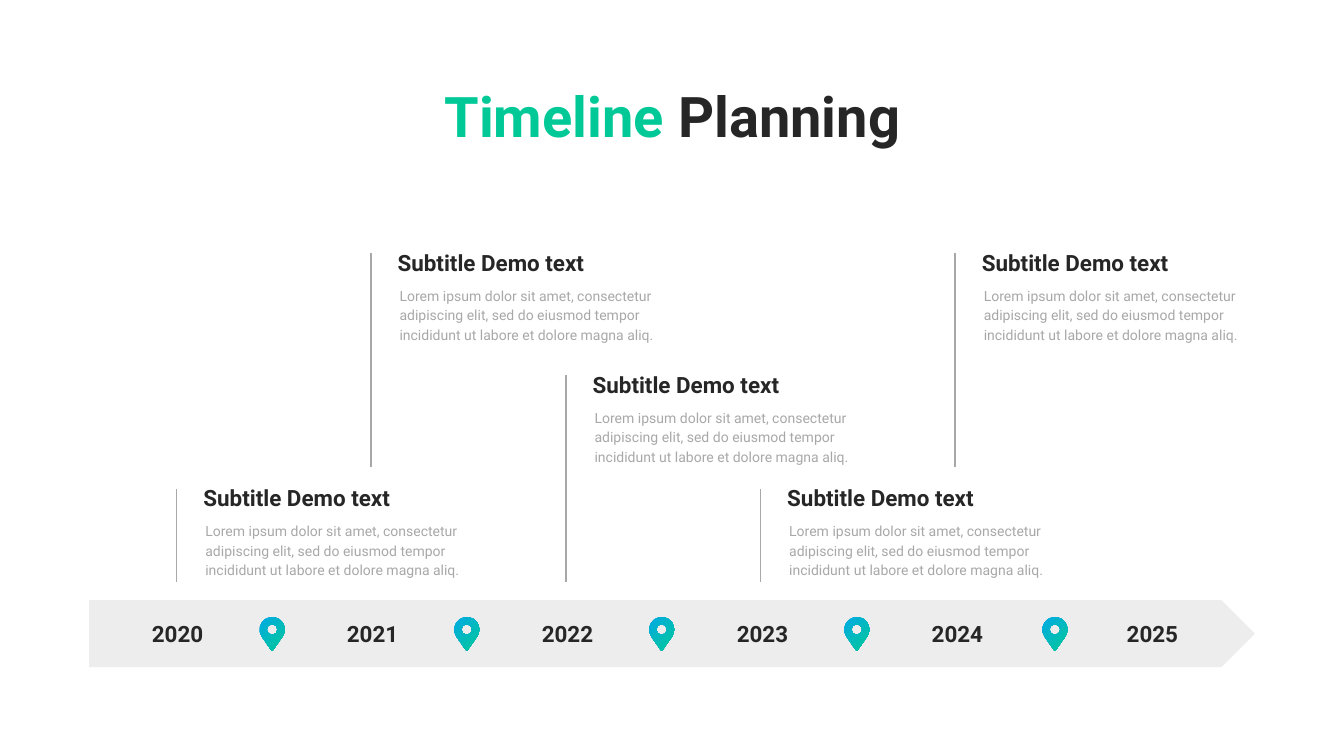
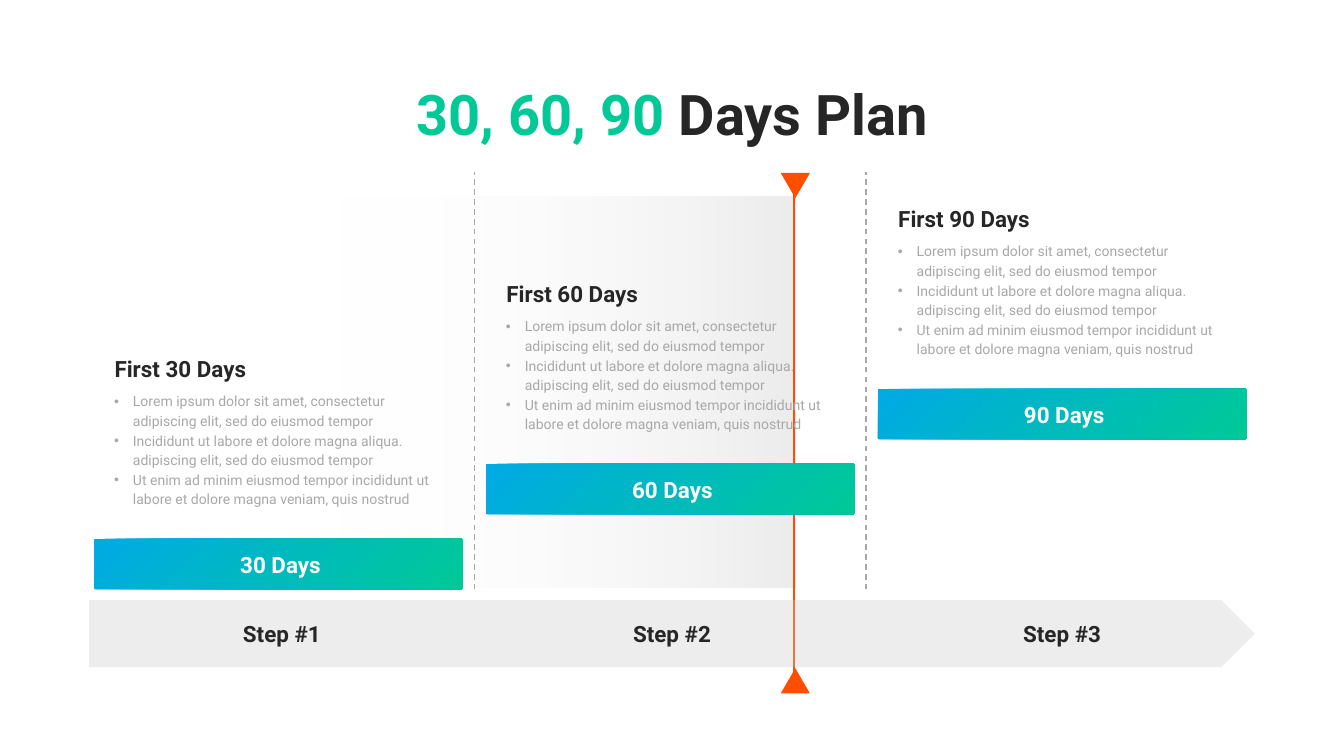
from lxml import etree
from pptx import Presentation
from pptx.dml.color import RGBColor
from pptx.enum.dml import MSO_LINE
from pptx.enum.shapes import MSO_CONNECTOR, MSO_SHAPE
from pptx.enum.text import MSO_ANCHOR, MSO_AUTO_SIZE, PP_ALIGN
from pptx.oxml.ns import qn
from pptx.util import Pt

LEFT, CENTER = PP_ALIGN.LEFT, PP_ALIGN.CENTER
TOP, MIDDLE = MSO_ANCHOR.TOP, MSO_ANCHOR.MIDDLE
DASH = MSO_LINE.DASH
STRAIGHT = MSO_CONNECTOR.STRAIGHT
RECT, ROUNDED = MSO_SHAPE.RECTANGLE, MSO_SHAPE.ROUNDED_RECTANGLE
TRIANGLE, PENTAGON = MSO_SHAPE.ISOSCELES_TRIANGLE, MSO_SHAPE.PENTAGON

FONT = "Roboto"
COLORS = {
    "ink": "252625",
    "text": "A7A8A7",
    "band": "C7C8C7",
    "blue": "00AAE5",
    "green": "00C997",
    "marker": "FE4F00",
    "white": "FEFFFE",
}

TIMELINE_TITLE = ("Timeline", " Planning")
YEARS = ["2020", "2021", "2022", "2023", "2024", "2025"]
PIN_LEFTS = [370.8, 648.8, 927.2, 1206, 1489]
PIN_WIDTH, PIN_HEIGHT = 36, 48
PIN_OUTLINE = [
    ("moveTo", [(180, 480)]),
    ("cubicBezTo", [(174, 480), (168, 477), (165, 472)]),
    ("lnTo", [(33, 283)]),
    ("cubicBezTo", [(-24, 202), (-4, 90), (77, 33)]),
    ("cubicBezTo", [(158, -24), (270, -4), (327, 77)]),
    ("cubicBezTo", [(370, 139), (370, 221), (327, 283)]),
    ("lnTo", [(195, 472)]),
    ("cubicBezTo", [(192, 477), (186, 480), (180, 480)]),
    ("close", []),
    ("moveTo", [(180, 104)]),
    ("cubicBezTo", [(138, 104), (104, 138), (104, 180)]),
    ("cubicBezTo", [(104, 222), (138, 256), (180, 256)]),
    ("cubicBezTo", [(222, 256), (256, 222), (256, 180)]),
    ("cubicBezTo", [(256, 138), (222, 104), (180, 104)]),
    ("close", []),
]
SUBTITLE = "Subtitle Demo text"
SUMMARY = ("Lorem ipsum dolor sit amet, consectetur adipiscing elit, "
           "sed do eiusmod tempor incididunt ut labore et dolore magna aliq.")
MILESTONES = [(252.4, 698.2, 832), (529.8, 361.9, 666.5), (808.4, 536.2, 832),
              (1086.4, 698.2, 832), (1364.4, 361.9, 666.5)]

PLAN_TITLE = ("30, 60, 90 ", "Days Plan")
STEPS = ["Step #1", "Step #2", "Step #3"]
PERIODS = ["30 Days", "60 Days", "90 Days"]
TASKS = [
    "Lorem ipsum dolor sit amet, consectetur adipiscing elit, sed do eiusmod tempor",
    "Incididunt ut labore et dolore magna aliqua. adipiscing elit, sed do eiusmod tempor",
    "Ut enim ad minim eiusmod tempor incididunt ut labore et dolore magna veniam, quis nostrud",
]


def rgb(name):
    return RGBColor.from_string(COLORS[name])


def set_font(paragraph, size, color=None, bold=False):
    font = paragraph.font
    font.name, font.size, font.bold = FONT, Pt(size), bold
    if color:
        font.color.rgb = rgb(color)


def place(shape, left, top, width, height):
    shape.left, shape.top = Pt(left), Pt(top)
    shape.width, shape.height = Pt(width), Pt(height)


def set_frame(frame, anchor, inset_x, inset_y):
    frame.word_wrap = True
    frame.auto_size = MSO_AUTO_SIZE.NONE
    frame.vertical_anchor = anchor
    frame.margin_left = frame.margin_right = Pt(inset_x)
    frame.margin_top = frame.margin_bottom = Pt(inset_y)


def add_title(slide, words, top):
    title = slide.shapes.title
    place(title, 507.6, top, 905.8, 105.1)
    set_frame(title.text_frame, TOP, 4.3, 4.3)
    paragraph = title.text_frame.paragraphs[0]
    paragraph.alignment = CENTER
    set_font(paragraph, 80, bold=True)
    for word, color in zip(words, ("green", "ink")):
        run = paragraph.add_run()
        run.text = word
        run.font.color.rgb = rgb(color)


def add_text(slide, text, box, size=32, color="ink", bold=True, align=LEFT,
             anchor=MIDDLE, insets=(4.3, 4.3), spacing=None):
    frame = slide.shapes.add_textbox(*map(Pt, box)).text_frame
    set_frame(frame, anchor, *insets)
    paragraph = frame.paragraphs[0]
    paragraph.text = text
    paragraph.alignment = align
    if spacing:
        paragraph.line_spacing = Pt(spacing)
    set_font(paragraph, size, color, bold)


def fill_tasks(holder, left, top):
    place(holder, left, top, 473.8, 175)
    set_frame(holder.text_frame, TOP, 7.2, 3.6)
    holder.text_frame.text = "\n".join(TASKS)
    for paragraph in holder.text_frame.paragraphs:
        paragraph.alignment = LEFT
        paragraph.line_spacing = Pt(28)
        paragraph.space_before = Pt(0)
        properties = paragraph._p.get_or_add_pPr()
        properties.set("marL", str(Pt(27)))
        properties.set("indent", str(-Pt(27)))
        etree.SubElement(properties, qn("a:buChar")).set("char", "•")
        set_font(paragraph, 20, "text")
    holder.element.getparent().append(holder.element)


def set_alphas(shape, alphas):
    for color, alpha in zip(shape.element.spPr.iter(qn("a:srgbClr")), alphas):
        etree.SubElement(color, qn("a:alpha")).set("val", str(alpha * 1000))


def finish(shape, colors, angle=45):
    shape.shadow.inherit = False
    if len(colors) == 1:
        shape.fill.solid()
        shape.fill.fore_color.rgb = rgb(colors[0])
    else:
        shape.fill.gradient()
        shape.fill.gradient_angle = 360 - angle
        for stop, color in zip(shape.fill.gradient_stops, colors):
            stop.color.rgb = rgb(color)
    shape.line.fill.background()


def add_block(slide, kind, box, *colors, angle=45):
    block = slide.shapes.add_shape(kind, *map(Pt, box))
    finish(block, colors, angle)
    return block


def add_line(slide, x, top, bottom, color="text", dash=None):
    line = slide.shapes.add_connector(STRAIGHT, Pt(x), Pt(top), Pt(x), Pt(bottom))
    line.line.color.rgb = rgb(color)
    line.line.width = Pt(2)
    if dash:
        line.line.dash_style = dash
    etree.SubElement(line.element.spPr, qn("a:effectLst"))


def add_band(slide):
    band = add_block(slide, PENTAGON, (127.4, 857.3, 1665.4, 95.6), "band")
    set_alphas(band, [31])


def add_band_labels(slide, labels, left, step):
    for i, label in enumerate(labels):
        add_text(slide, label, (left + i * step, 881.3, 141.8, 46.8), align=CENTER)


def add_pin(slide, left):
    top = 881.3
    right, bottom = left + PIN_WIDTH, top + PIN_HEIGHT
    builder = slide.shapes.build_freeform(Pt(left), Pt(top))
    builder.add_line_segments([(Pt(right), Pt(top)), (Pt(right), Pt(bottom))])
    pin = builder.convert_to_shape()
    outline = next(pin.element.iter(qn("a:path")))
    for segment in list(outline):
        outline.remove(segment)
    outline.set("w", str(PIN_WIDTH * 10))
    outline.set("h", str(PIN_HEIGHT * 10))
    for command, points in PIN_OUTLINE:
        segment = etree.SubElement(outline, qn(f"a:{command}"))
        for x, y in points:
            etree.SubElement(segment, qn("a:pt"), x=str(x), y=str(y))
    finish(pin, ("blue", "green"))


def add_milestone(slide, x, top, bottom):
    left = x + 33.9
    add_text(slide, SUBTITLE, (left, top - 10.6, 391.7, 46.8))
    add_text(slide, SUMMARY, (left, top + 41, 388.8, 90), size=20, color="text",
             bold=False, anchor=TOP, insets=(7.2, 3.6), spacing=28)
    add_line(slide, x, top, bottom)


def build_timeline(deck):
    slide = deck.slides.add_slide(deck.slide_layouts.get_by_name("Title Only"))
    add_title(slide, TIMELINE_TITLE, 112.3)
    add_band(slide)
    add_band_labels(slide, YEARS, 182.9, 278.5)
    for left in PIN_LEFTS:
        add_pin(slide, left)
    for milestone in MILESTONES:
        add_milestone(slide, *milestone)


def add_today_marker(slide):
    add_block(slide, TRIANGLE, (1115.3, 954.7, 41.8, 36), "marker")
    upper = add_block(slide, TRIANGLE, (1115.3, 247, 41.8, 36), "marker")
    upper.rotation = 180
    add_line(slide, 1134.3, 247, 972.7, "marker")


def add_period(slide, period, holder, left, top):
    bar = add_block(slide, ROUNDED, (left, top, 526.3, 72), "blue", "green")
    bar.adjustments[0] = 0.026
    add_text(slide, period, (left + 70.4, top + 13, 391.7, 46.8),
             color="white", align=CENTER)
    add_text(slide, f"First {period}", (left + 24.8, top - 266.4, 239.8, 46.8))
    fill_tasks(holder, left + 21.2, top - 216)


def build_plan(deck):
    slide = deck.slides.add_slide(deck.slide_layouts.get_by_name("Comparison"))
    add_title(slide, PLAN_TITLE, 109.8)
    *holders, spare = list(slide.placeholders)[1:]
    spare.element.getparent().remove(spare.element)
    elapsed = add_block(slide, RECT, (479.5, 280.8, 656.6, 558.7),
                        "band", "white", angle=180)
    set_alphas(elapsed, [34, 0])
    add_today_marker(slide)
    add_band(slide)
    add_band_labels(slide, STEPS, 331.9, 557.3)
    for x in (678.2, 1237):
        add_line(slide, x, 842, 245.5, dash=DASH)
    for i, (period, holder) in enumerate(zip(PERIODS, holders)):
        add_period(slide, period, holder, 134.5 + i * 559.8, 769.6 - i * 107.1)


def main():
    deck = Presentation()
    deck.slide_width, deck.slide_height = Pt(1920), Pt(1080)
    build_timeline(deck)
    build_plan(deck)
    deck.save("out.pptx")


if __name__ == "__main__":
    main()
